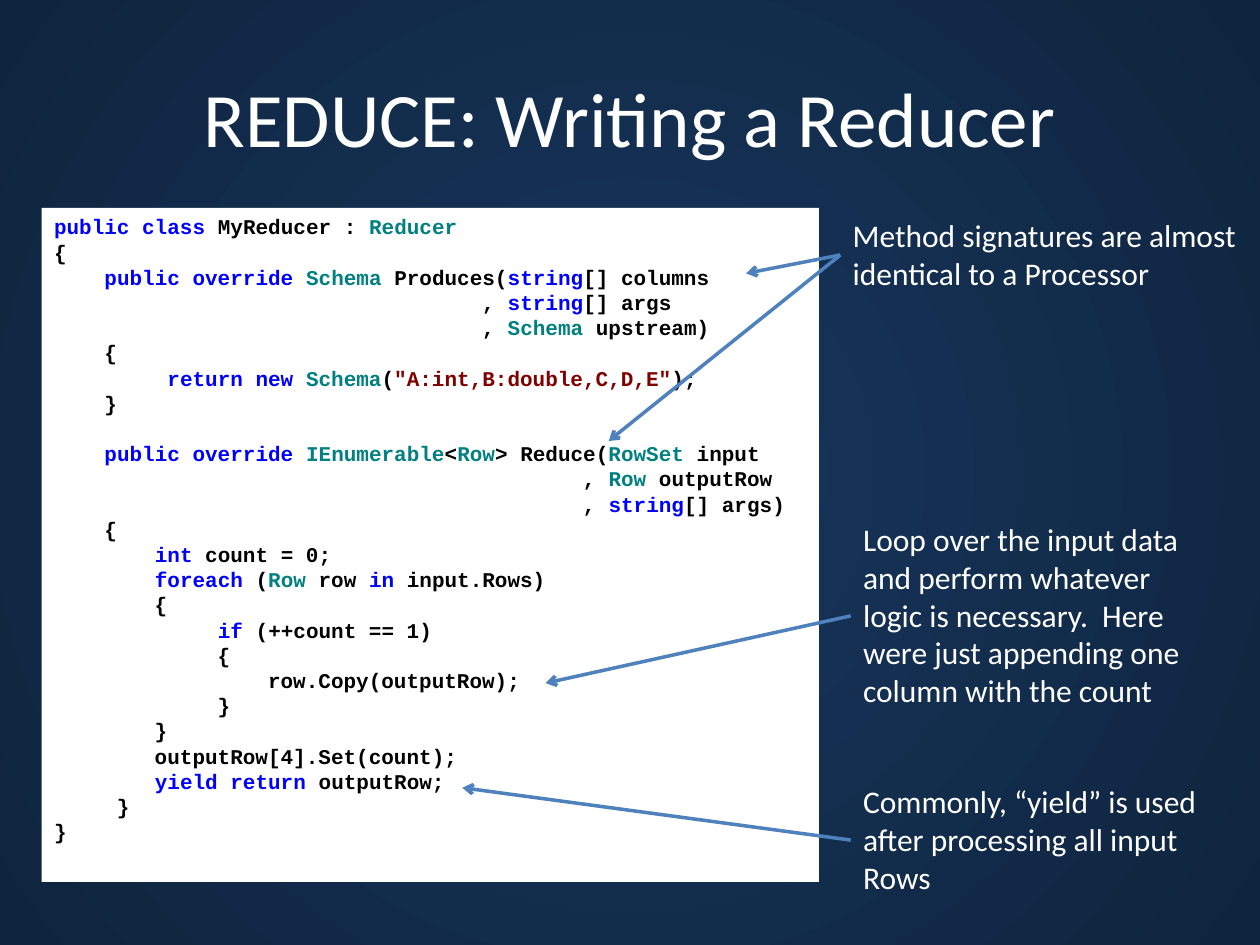
"""Build the slide on writing a reducer: annotated code with arrows from three notes."""
from dataclasses import dataclass
from itertools import groupby

from pptx import Presentation
from pptx.dml.color import RGBColor
from pptx.enum.shapes import MSO_CONNECTOR, MSO_SHAPE
from pptx.enum.text import MSO_ANCHOR, PP_ALIGN
from pptx.oxml import parse_xml
from pptx.oxml.ns import nsdecls
from pptx.util import Cm, Pt


@dataclass(frozen=True)
class Theme:
    centre: RGBColor = RGBColor.from_string("17375E")
    edge: RGBColor = RGBColor.from_string("0F243E")
    white: RGBColor = RGBColor.from_string("FFFFFF")
    arrow: RGBColor = RGBColor.from_string("4F81BD")
    plain: RGBColor = RGBColor.from_string("000000")
    keyword: RGBColor = RGBColor.from_string("0000FF")
    type_name: RGBColor = RGBColor.from_string("008080")
    literal: RGBColor = RGBColor.from_string("800000")
    text_font: str = "Calibri"
    code_font: str = "Courier New"
    title_size: Pt = Pt(44)
    note_size: Pt = Pt(18)
    code_size: Pt = Pt(12)
    arrow_width: Pt = Pt(2)


THEME = Theme()
KEYWORDS = "public class override string return new int foreach in if yield".split()
TYPE_NAMES = "Reducer Schema IEnumerable Row RowSet".split()
CODE = """public class MyReducer : Reducer
{
    public override Schema Produces(string[] columns
                                  , string[] args
                                  , Schema upstream)
    {
         return new Schema("A:int,B:double,C,D,E");
    }

    public override IEnumerable<Row> Reduce(RowSet input
                                          , Row outputRow
                                          , string[] args)
    {
        int count = 0;
        foreach (Row row in input.Rows)
        {
             if (++count == 1)
             {
                 row.Copy(outputRow);
             }
        }
        outputRow[4].Set(count);
        yield return outputRow;
     }
}"""
NOTES = [
    ("Method signatures are almost identical to a Processor",
     (16.94, 4.24, 8.26, 1.8), [(15.04, 5.51), (12.27, 8.89)]),
    ("Commonly, “yield” is used after processing all input Rows",
     (17.15, 15.65, 7.62, 2.57), [(9.32, 15.88)]),
    ("Loop over the input data and perform whatever logic is necessary.  "
     "Here were just appending one column with the count",
     (17.15, 10.36, 7.62, 4.11), [(11, 13.77)]),
]


def colour_tokens(line):
    """Return (colour, text) pairs, with blanks joined to the token before them."""
    tokens = []
    colour = THEME.plain
    for index, part in enumerate(line.split('"')):
        if index % 2:
            colour = THEME.literal
            tokens.append((colour, f'"{part}"'))
            continue
        for _, characters in groupby(part, str.isalnum):
            word = "".join(characters)
            if word in KEYWORDS:
                colour = THEME.keyword
            elif word in TYPE_NAMES:
                colour = THEME.type_name
            elif word.strip():
                colour = THEME.plain
            tokens.append((colour, word))
    return [(colour, "".join(word for _, word in group))
            for colour, group in groupby(tokens, lambda token: token[0])]


def add_text(slide, text, place, size):
    box = slide.shapes.add_textbox(*map(Cm, place))
    box.text_frame.word_wrap = True
    box.text_frame.text = text
    font = box.text_frame.paragraphs[0].runs[0].font
    font.name, font.size, font.color.rgb = THEME.text_font, size, THEME.white
    return box


presentation = Presentation()
presentation.slide_width, presentation.slide_height = Cm(25.4), Cm(19.05)
slide = presentation.slides.add_slide(presentation.slide_layouts[6])

backdrop = slide.background.fill
backdrop.gradient()
for stop, colour, position in zip(backdrop.gradient_stops, (THEME.centre, THEME.edge), (0, 1)):
    stop.color.rgb, stop.position = colour, position
linear = slide.element.xpath(".//p:bg//a:lin")[0]
linear.getparent().replace(linear, parse_xml(
    f'<a:path {nsdecls("a")} path="circle">'
    '<a:fillToRect l="50000" t="50000" r="50000" b="50000"/></a:path>'))

code_panel = slide.shapes.add_shape(
    MSO_SHAPE.RECTANGLE, Cm(0.84), Cm(4.19), Cm(15.67), Cm(13.59))
code_panel.shadow.inherit = False
code_panel.fill.solid()
code_panel.fill.fore_color.rgb = THEME.white
code_panel.line.fill.background()
code_frame = code_panel.text_frame
code_frame.word_wrap = True
code_frame.vertical_anchor = MSO_ANCHOR.TOP
code_frame.text = CODE
for code_line, line in zip(code_frame.paragraphs, CODE.split("\n")):
    code_line.clear()
    code_line.alignment = PP_ALIGN.LEFT
    code_line.font.size = THEME.code_size
    code_line.font.name = THEME.code_font
    for colour, words in colour_tokens(line):
        run = code_line.add_run()
        run.text = words
        run.font.name, run.font.size = THEME.code_font, THEME.code_size
        run.font.bold, run.font.color.rgb = True, colour

title = add_text(slide, "REDUCE: Writing a Reducer", (1.27, 0.76, 22.86, 3.18), THEME.title_size)
title.text_frame.vertical_anchor = MSO_ANCHOR.MIDDLE
title.text_frame.paragraphs[0].alignment = PP_ALIGN.CENTER

for text, place, targets in NOTES:
    note = add_text(slide, text, place, THEME.note_size)
    for target_x, target_y in targets:
        arrow = slide.shapes.add_connector(
            MSO_CONNECTOR.STRAIGHT, 0, 0, Cm(target_x), Cm(target_y))
        arrow.begin_connect(note, 1)
        arrow.line.color.rgb, arrow.line.width = THEME.arrow, THEME.arrow_width
        arrow.line._get_or_add_ln().append(
            parse_xml(f'<a:tailEnd {nsdecls("a")} type="arrow"/>'))
        arrow.element.spPr.append(parse_xml(f'<a:effectLst {nsdecls("a")}/>'))

presentation.save("out.pptx")
